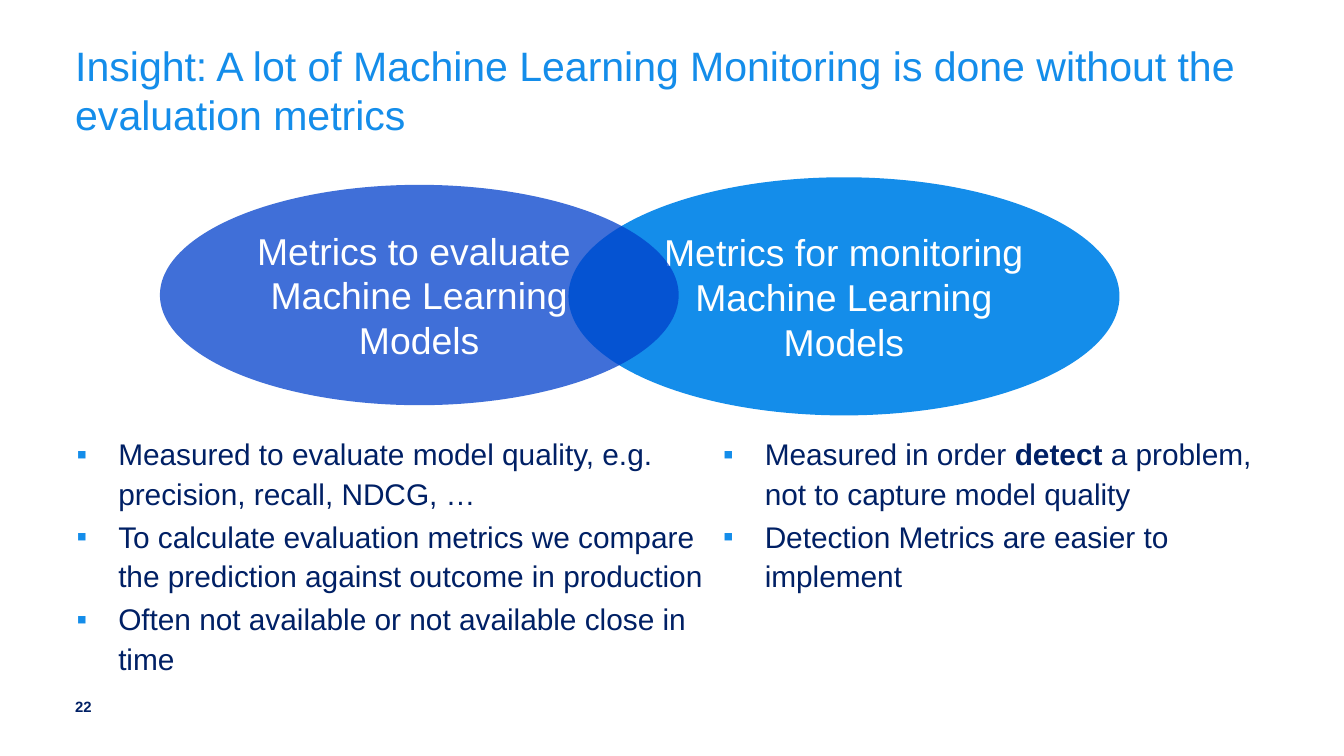
from lxml.etree import SubElement as Sub
from pptx import Presentation
from pptx.dml.color import RGBColor
from pptx.enum.shapes import MSO_SHAPE as Shape
from pptx.enum.text import MSO_ANCHOR as Anchor, MSO_AUTO_SIZE as Fit, PP_ALIGN as Align
from pptx.oxml.ns import qn
from pptx.util import Inches, Pt

WIDE = Inches(10)
HIGH = WIDE * 9 // 16
SKY, BLUE, NAVY, WHITE = "148DEA", "0040CB", "002065", "FFFFFF"

LEFT = [
    [("Measured to evaluate model quality, e.g. precision, recall, NDCG, …", False)],
    [("To calculate evaluation metrics we compare the prediction against "
      "outcome in production", False)],
    [("Often not available or not available close in time", False)],
]
RIGHT = [
    [("Measured in order ", False), ("detect", True),
     (" a problem, not to capture model quality", False)],
    [("Detection Metrics are easier to implement", False)],
]


def color(code):
    return RGBColor.from_string(code)


def share(x, y, w, h):
    """Turn percentages of the slide into left, top, width and height."""
    return [int(part * side / 100)
            for part, side in zip((x, y, w, h), (WIDE, HIGH, WIDE, HIGH))]


def place(shape, box):
    shape.left, shape.top, shape.width, shape.height = share(*box)


def frame(shape, anchor=Anchor.TOP, wrap=True):
    """Empty margins, no autofit; returns the text frame."""
    text = shape.text_frame
    text.margin_left = text.margin_right = text.margin_top = text.margin_bottom = 0
    text.auto_size = Fit.NONE
    text.word_wrap = wrap
    text.vertical_anchor = anchor
    return text


def write(para, words, size, code, bold=False):
    run = para.add_run()
    run.text = words
    font = run.font
    font.name, font.size, font.bold = "Arial", Pt(size), bold
    font.color.rgb = color(code)


def bullet(para):
    props = para._p.get_or_add_pPr()
    props.set("marL", str(Inches(0.32)))
    props.set("indent", str(Inches(-0.31)))
    Sub(Sub(props, qn("a:buClr")), qn("a:srgbClr"), val=SKY)
    Sub(props, qn("a:buFont"), typeface="Arial")
    Sub(props, qn("a:buChar"), char="▪")


def add_title(slide, words):
    title = slide.shapes.title
    place(title, (5.6, 5.3, 90.4, 7.3))
    para = frame(title).paragraphs[0]
    para.alignment = Align.LEFT
    write(para, words, 22, SKY)


def add_list(body, box, items):
    place(body, box)
    text = frame(body)
    for i, runs in enumerate(items):
        para = text.add_paragraph() if i else text.paragraphs[0]
        para.line_spacing = 1.1
        para.space_before = Pt(2 if i else 0)
        bullet(para)
        for words, bold in runs:
            write(para, words, 16, NAVY, bold)


def add_oval(slide, box, lines, code, alpha=100):
    oval = slide.shapes.add_shape(Shape.OVAL, *share(*box))
    oval.shadow.inherit = False
    oval.line.fill.background()
    oval.fill.solid()
    oval.fill.fore_color.rgb = color(code)
    if alpha < 100:
        tint = oval._element.spPr.find(".//" + qn("a:srgbClr"))
        Sub(tint, qn("a:alpha"), val=str(alpha * 1000))
    para = frame(oval, Anchor.MIDDLE).paragraphs[0]
    para.alignment = Align.CENTER
    for i, words in enumerate(lines):
        if i:
            para.add_line_break()
        write(para, words, 20, WHITE)


def add_number(slide, words):
    box = slide.shapes.add_textbox(*share(5.6, 92.25, 2, 2.5))
    write(frame(box, wrap=False).paragraphs[0], words, 8, NAVY, True)


def main():
    deck = Presentation()
    deck.slide_width, deck.slide_height = WIDE, HIGH
    slide = deck.slides.add_slide(deck.slide_layouts.get_by_name("Two Content"))
    add_title(slide, "Insight: A lot of Machine Learning Monitoring is done "
                     "without the evaluation metrics")
    left, right = list(slide.placeholders)[1:]
    add_list(left, (5.6, 57.2, 47.3, 31), LEFT)
    add_list(right, (53.7, 57.2, 42.3, 31), RIGHT)
    models = "Machine Learning Models"
    add_oval(slide, (42.3, 23.45, 41, 31.5), ["Metrics for monitoring", models], SKY)
    add_oval(slide, (11.9, 24.45, 38.6, 29.15), ["Metrics to evaluate ", models], BLUE, 75)
    add_number(slide, "22")
    deck.save("out.pptx")


if __name__ == "__main__":
    main()
